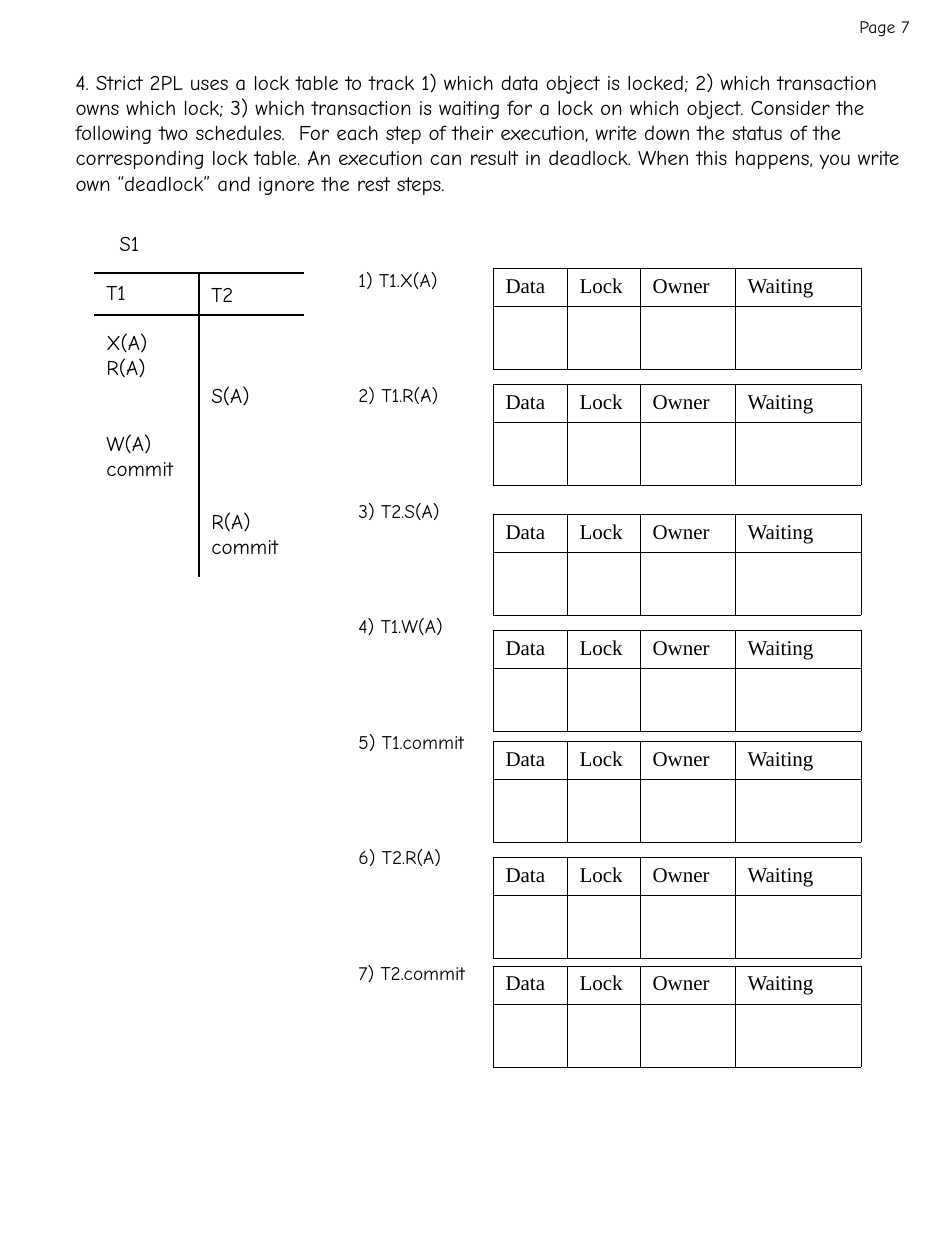
from lxml.etree import SubElement
from pptx import Presentation
from pptx.dml.color import RGBColor as Rgb
from pptx.enum.shapes import MSO_CONNECTOR as Connector
from pptx.enum.text import MSO_ANCHOR as Anchor, MSO_AUTO_SIZE as AutoSize, PP_ALIGN as Align
from pptx.oxml.ns import qn
from pptx.util import Pt

EMU_PER_PX = 914400 / 126
COLORS = {"ink": "000000"}
HAND_FONT = "Comic Neue"
TABLE_FONT = "Times New Roman"
LINE_PITCH = 14.45
QUESTION = (
    "4. Strict 2PL uses a lock table to track 1) which data object is locked; "
    "2) which transaction owns which lock; 3) which transaction is waiting for a lock "
    "on which object. Consider the following two schedules.  For each step of their "
    "execution, write down the status of the corresponding lock table. An execution can "
    "result in deadlock. When this happens, you write own “deadlock” and ignore the rest steps."
)
T1_STEPS = [("T1", 0), ("X(A)", 1), ("R(A)", 0), ("W(A)", 2), ("commit", 0)]
T2_STEPS = [("T2", 0), ("S(A)", 3), ("R(A)", 4), ("commit", 0)]
STEPS = [
    ("T1.X(A)", 268), ("T1.R(A)", 384), ("T2.S(A)", 514), ("T1.W(A)", 630),
    ("T1.commit", 741), ("T2.R(A)", 857), ("T2.commit", 966),
]
HEADINGS = {"Data": 74, "Lock": 73, "Owner": 95, "Waiting": 126}
ROW_HEIGHTS = (38, 63)


def px(*lengths):
    """Turn pixel lengths into a list of EMU."""
    return [round(length * EMU_PER_PX) for length in lengths]


def write(frame, lines, size=12, font=HAND_FONT):
    """Fill a text frame from (text, skipped lines before) pairs."""
    frame.word_wrap = True
    for index, (text, skipped) in enumerate(lines):
        para = frame.paragraphs[0] if index == 0 else frame.add_paragraph()
        para.alignment = Align.LEFT
        if skipped:
            para.space_before = Pt(skipped * LINE_PITCH)
        span = para.add_run()
        span.text = text
        span.font.size = Pt(size)
        span.font.name = font
        span.font.color.rgb = Rgb.from_string(COLORS["ink"])


def add_text(page, box, lines, **style):
    """Add a text box."""
    write(page.shapes.add_textbox(*px(*box)).text_frame, lines, **style)


def add_rule(page, start, end):
    """Draw a thin straight line."""
    rule = page.shapes.add_connector(Connector.STRAIGHT, *px(*start, *end))
    rule.line.color.rgb = Rgb.from_string(COLORS["ink"])
    rule.line.width = Pt(0.75)
    SubElement(rule._element.spPr, qn("a:effectLst"))


def add_question(page, box):
    """Place the question in the title placeholder."""
    title = page.shapes.title
    title.left, title.top, title.width, title.height = px(*box)
    frame = title.text_frame
    frame.auto_size = AutoSize.NONE
    frame.vertical_anchor = Anchor.TOP
    write(frame, [(QUESTION, 0)])


def add_schedule(page, box):
    """Draw the named schedule with its two transaction columns."""
    left, top, width, height = box
    middle = left + width // 2
    head = top + 49
    for y in (head, head + 42):
        add_rule(page, (left, y), (left + width, y))
    add_rule(page, (middle, head), (middle, top + height))
    add_text(page, (left + 13, top, 60, 38), [("S1", 0)])
    add_text(page, (left, head, width // 2, 214), T1_STEPS)
    add_text(page, (middle, head + 2, width // 2, 290), T2_STEPS)


def style_cell(cell):
    """Give a cell thin borders and no fill."""
    properties = cell._tc.get_or_add_tcPr()
    for side in ("lnL", "lnR", "lnT", "lnB"):
        line = SubElement(properties, qn(f"a:{side}"), w=str(Pt(0.45)))
        fill = SubElement(line, qn("a:solidFill"))
        SubElement(fill, qn("a:srgbClr"), val=COLORS["ink"])
    cell.fill.background()


def add_lock_table(page, left, top):
    """Add an empty lock table under its headings."""
    size = (sum(HEADINGS.values()), sum(ROW_HEIGHTS))
    table = page.shapes.add_table(2, len(HEADINGS), *px(left, top, *size)).table
    table.first_row = table.horz_banding = False
    for row, height in zip(table.rows, px(*ROW_HEIGHTS)):
        row.height = height
    for column, width in zip(table.columns, px(*HEADINGS.values())):
        column.width = width
    for cell in table.iter_cells():
        style_cell(cell)
    for cell, heading in zip(table.rows[0].cells, HEADINGS):
        write(cell.text_frame, [(heading, 0)], font=TABLE_FONT)


def add_steps(page, box):
    """List the numbered steps, each with its lock table."""
    left, top, width, height = box
    for index, (step, table_top) in enumerate(STEPS):
        label_top = top + index * height // len(STEPS)
        add_text(page, (left, label_top, width, 37), [(f"{index + 1}) {step}", 0)], size=11)
        add_lock_table(page, left + 147, table_top)


def main():
    """Build the worksheet page."""
    deck = Presentation()
    deck.slide_width, deck.slide_height = px(945, 1260)
    page = deck.slides.add_slide(deck.slide_layouts[5])
    add_question(page, (63, 63, 861, 139))
    add_text(page, (847, 10, 90, 34), [("Page 7", 0)], size=10)
    add_schedule(page, (94, 224, 210, 353))
    add_steps(page, (346, 262, 525, 809))
    deck.save("out.pptx")


if __name__ == "__main__":
    main()
